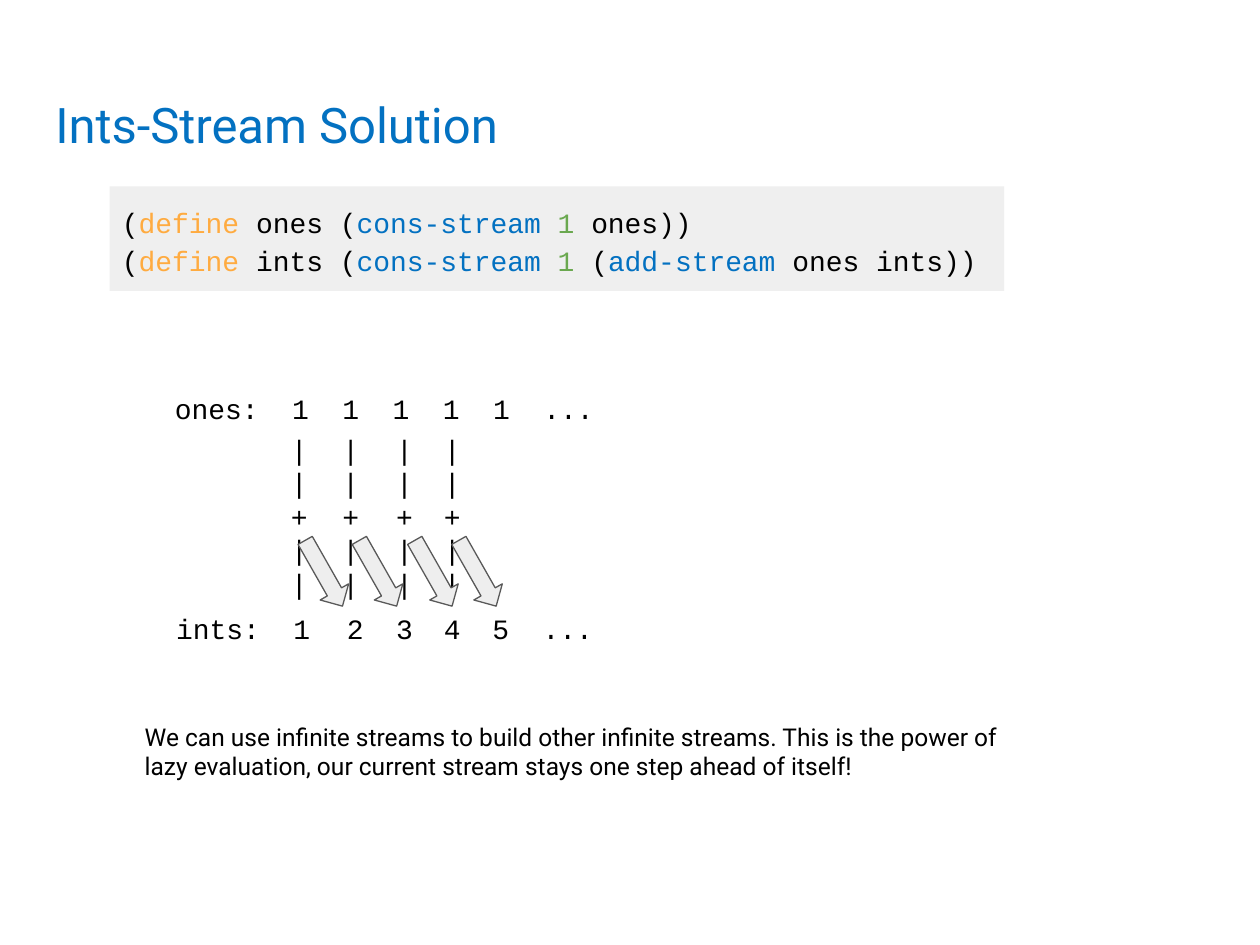
"""Build the Ints-Stream solution slide."""
import dataclasses

import pptx
import pptx.dml.color
import pptx.enum.shapes
import pptx.enum.text
import pptx.util

Inches = pptx.util.Inches
Align = pptx.enum.text.PP_ALIGN
Anchor = pptx.enum.text.MSO_ANCHOR


@dataclasses.dataclass(frozen=True)
class Theme:
    black: str = "000000"
    blue: str = "0371C1"
    orange: str = "FFAB40"
    green: str = "6AA84F"
    panel: str = "EFEFEF"
    arrow: str = "EEEEEE"
    outline: str = "595959"
    code_font: str = "Courier New"
    text_font: str = "Roboto"
    title_size: int = 28
    code_size: int = 16
    text_size: int = 14


theme = Theme()
presentation = pptx.Presentation()
presentation.slide_width = Inches(10)
presentation.slide_height = Inches(7.5)
slide = presentation.slides.add_slide(presentation.slide_layouts[6])


def write(shape, lines, font=theme.code_font, size=theme.code_size, align=Align.LEFT, spacing=1.0):
    frame = shape.text_frame
    frame.word_wrap = True
    frame.margin_left = frame.margin_right = Inches(0.1)
    frame.margin_top = frame.margin_bottom = Inches(0.1)
    frame.text = "\n".join("".join(text for text, color in line) for line in lines)
    for paragraph, line in zip(frame.paragraphs, lines):
        paragraph.text = ""
        paragraph.alignment = align
        paragraph.line_spacing = spacing
        for text, color in line:
            run = paragraph.add_run()
            run.text = text
            run.font.name = font
            run.font.size = pptx.util.Pt(size)
            run.font.color.rgb = pptx.dml.color.RGBColor.from_string(color)


def add_shape(kind, left, top, width, height, fill):
    shape = slide.shapes.add_shape(kind, Inches(left), Inches(top), Inches(width), Inches(height))
    shape.shadow.inherit = False
    shape.fill.solid()
    shape.fill.fore_color.rgb = pptx.dml.color.RGBColor.from_string(fill)
    return shape


title = slide.shapes.add_textbox(Inches(0.34), Inches(0.65), Inches(9.32), Inches(0.83))
write(title, [[("Ints-Stream Solution", theme.blue)]], theme.text_font, theme.title_size)

code_panel = add_shape(pptx.enum.shapes.MSO_SHAPE.RECTANGLE, 0.87, 1.48, 7.1, 0.83, theme.panel)
code_panel.line.fill.background()
code_panel.text_frame.vertical_anchor = Anchor.MIDDLE
code_lines = []
for name, tail in [
    ("ones", [("ones))", theme.black)]),
    ("ints", [("(", theme.black), ("add-stream ", theme.blue), ("ones ints))", theme.black)]),
]:
    code_lines.append([
        ("(", theme.black),
        ("define", theme.orange),
        (f" {name} (", theme.black),
        ("cons-stream ", theme.blue),
        ("1 ", theme.green),
        *tail,
    ])
write(code_panel, code_lines, spacing=1.15)

stream_labels = [
    ("ones:  1  1  1  1  1  ...", 1.29, 3.01, 6.69, Align.LEFT),
    ("ints:  1", 1.3, 4.75, 1.3, Align.LEFT),
    ("2", 2.57, 4.75, 0.5, Align.CENTER),
    ("3", 2.96, 4.75, 0.5, Align.CENTER),
    ("4", 3.34, 4.75, 0.5, Align.CENTER),
    ("5  ...", 3.81, 4.75, 1.3, Align.LEFT),
]
for text, left, top, width, align in stream_labels:
    label = slide.shapes.add_textbox(Inches(left), Inches(top), Inches(width), Inches(0.52))
    write(label, [[(text, theme.black)]], align=align)

columns = [
    (2.21, 0.38, Align.LEFT, 2.27),
    (2.62, 0.26, Align.CENTER, 2.7),
    (3.02, 0.38, Align.CENTER, 3.14),
    (3.4, 0.38, Align.CENTER, 3.49),
]
for left, width, align, arrow_left in columns:
    column = slide.shapes.add_textbox(Inches(left), Inches(3.33), Inches(width), Inches(1.42))
    write(column, [[(symbol, theme.black)] for symbol in "||+||"], align=align)

for left, width, align, arrow_left in columns:
    arrow = add_shape(pptx.enum.shapes.MSO_SHAPE.RIGHT_ARROW, arrow_left, 4.42, 0.6, 0.26, theme.arrow)
    arrow.rotation = 60.4
    arrow.line.color.rgb = pptx.dml.color.RGBColor.from_string(theme.outline)
    arrow.line.width = pptx.util.Pt(0.75)

summary = slide.shapes.add_textbox(Inches(1.05), Inches(5.63), Inches(7.17), Inches(0.77))
summary_text = (
    "We can use infinite streams to build other infinite streams. This is the power of "
    "lazy evaluation, our current stream stays one step ahead of itself!"
)
write(summary, [[(summary_text, theme.black)]], theme.text_font, theme.text_size)

presentation.save("out.pptx")
